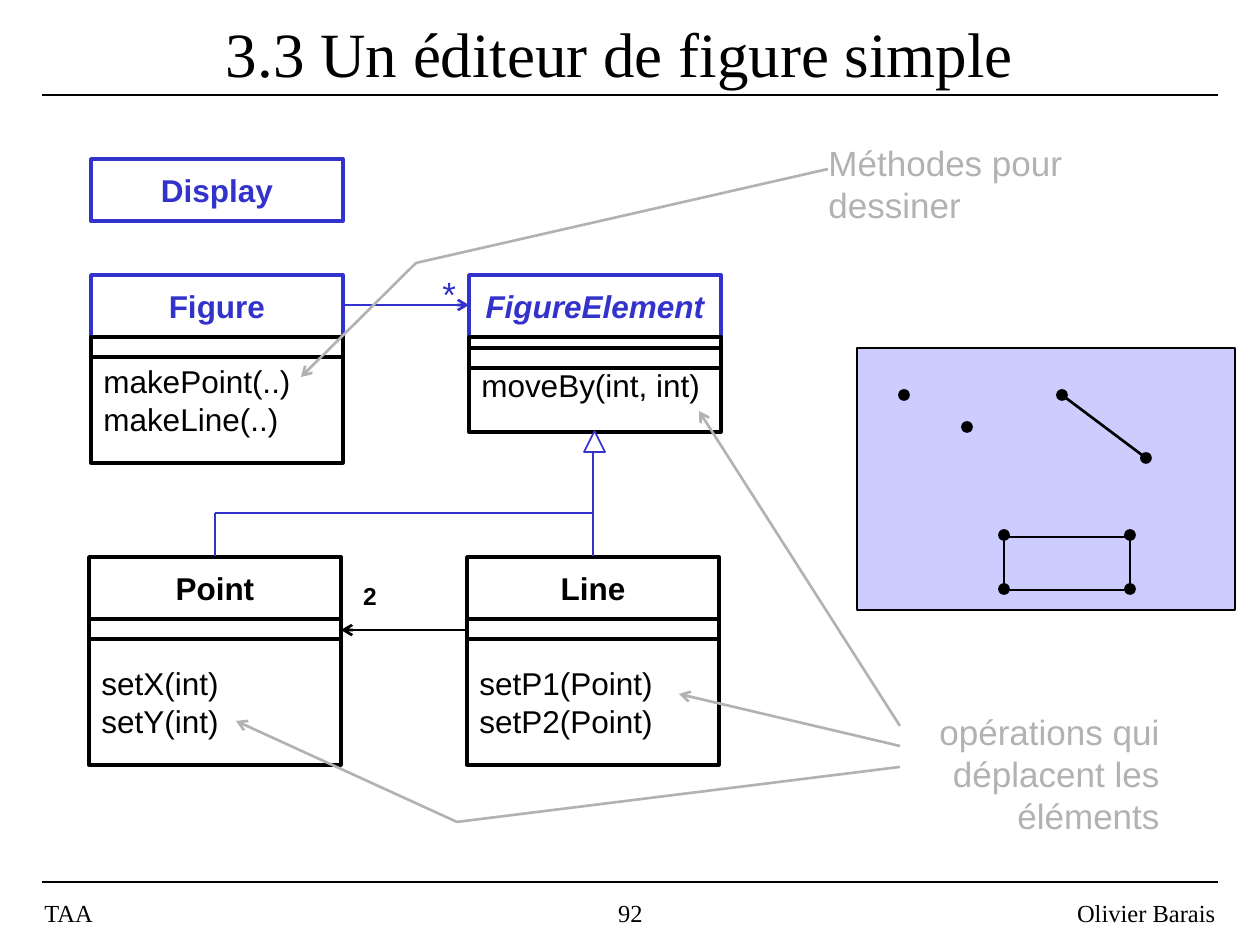
from lxml.etree import SubElement
from pptx import Presentation
from pptx.dml.color import RGBColor
from pptx.enum.shapes import MSO_CONNECTOR, MSO_SHAPE
from pptx.enum.text import MSO_ANCHOR, PP_ALIGN
from pptx.oxml.ns import qn
from pptx.util import Pt

PX = 914400 / 126
BLACK, BLUE, GRAY, LILAC, WHITE = "000000", "3333CC", "B2B2B2", "CCCCFF", "FFFFFF"
ALIGN = {"l": PP_ALIGN.LEFT, "c": PP_ALIGN.CENTER, "r": PP_ALIGN.RIGHT}
WIDE, HEAD, BAR, BODY = 252, 62, 20, 126


def px(*nums):
    return [round(n * PX) for n in nums]


def tint(color, code):
    color.rgb = RGBColor.from_string(code)


def ink(shape, code, width, arrow=False):
    """Style the outline and drop the shadow."""
    tint(shape.line.color, code)
    shape.line.width = Pt(width)
    if arrow:
        SubElement(shape.line._get_or_add_ln(), qn("a:tailEnd"), type="arrow")
    SubElement(shape._element.spPr, qn("a:effectLst"))


def write(shape, words, size=18, code=BLACK, font="Arial", align="l",
          bold=False, slant=False, wrap=False, mid=True):
    frame = shape.text_frame
    frame.word_wrap = wrap
    frame.vertical_anchor = MSO_ANCHOR.MIDDLE if mid else MSO_ANCHOR.TOP
    part = frame.paragraphs[0]
    part.text = words
    part.alignment = ALIGN[align]
    for run in part.runs:
        face = run.font
        face.name, face.size = font, Pt(size)
        face.bold, face.italic = bold, slant
        tint(face.color, code)


def label(host, box, words, **form):
    write(host.add_textbox(*px(*box)), words, **form)


def block(host, box, code=BLACK, width=2, fill=None, kind=MSO_SHAPE.RECTANGLE):
    shape = host.add_shape(kind, *px(*box))
    if fill:
        shape.fill.solid()
        tint(shape.fill.fore_color, fill)
    else:
        shape.fill.background()
    ink(shape, code, width)
    return shape


def line(host, ends, code=BLACK, width=1.5, arrow=False):
    link = host.add_connector(MSO_CONNECTOR.STRAIGHT, *px(*ends))
    ink(link, code, width, arrow)


def bend(host, start, *rest):
    """Draw a gray arrow through several points."""
    path = host.build_freeform(*start, scale=PX)
    path.add_line_segments(rest, close=False)
    shape = path.convert_to_shape()
    shape.fill.background()
    ink(shape, GRAY, 1.5, arrow=True)


def entity(host, x, y, name, ops=None, code=BLACK, slant=False,
           bar=HEAD, body=HEAD, high=BODY):
    """Draw a class; bar and body are offsets from its top."""
    head = block(host, (x, y, WIDE, HEAD), code)
    write(head, name, code=code, align="c", bold=True, slant=slant)
    if ops:
        write(block(host, (x, y + body, WIDE, high)), ops)
        block(host, (x, y + bar, WIDE, BAR))


def frame(host):
    """Draw the title, rules and footer."""
    for y in (95, 882):
        line(host, (42, y, 1218, y), width=1)
    font = "Times New Roman"
    label(host, (84, 21, 1071, 63), "3.3 Un éditeur de figure simple",
          size=36, font=font, align="c", wrap=True)
    for x, wide, words, align in ((32, 262, "TAA", "l"), (431, 399, "92", "c"),
                                  (966, 262, "Olivier Barais", "r")):
        label(host, (x, 892, wide, 42), words, size=14, font=font, align=align)


def model(host):
    """Draw the classes and their relations."""
    entity(host, 91, 159, "Display", code=BLUE)
    entity(host, 91, 275, "Figure", "makePoint(..)\vmakeLine(..)", BLUE)
    entity(host, 469, 275, "FigureElement", "moveBy(int, int)", BLUE,
           slant=True, bar=73, high=95)
    for x, name, ops in ((89, "Point", "setX(int)\vsetY(int)"),
                         (467, "Line", "setP1(Point)\vsetP2(Point)")):
        entity(host, x, 557, name, ops, body=HEAD + BAR)

    line(host, (343, 305, 469, 305), BLUE, arrow=True)
    label(host, (430, 266, 32, 54), "*", size=20, code=BLUE, align="c",
          wrap=True, mid=False)
    line(host, (467, 630, 341, 630), arrow=True)
    label(host, (349, 575, 42, 42), "2", size=14, bold=True, align="c",
          wrap=True, mid=False)
    for ends in ((215, 556, 215, 513), (215, 513, 593, 513), (593, 556, 593, 451)):
        line(host, ends, BLUE)
    block(host, (584, 431, 21, 21), BLUE, 1, WHITE, MSO_SHAPE.ISOSCELES_TRIANGLE)


def canvas(host, x, y):
    """Draw the sample figure with its points and lines."""
    block(host, (x, y, 378, 262), width=1, fill=LILAC)
    line(host, (x + 205, y + 47, x + 289, y + 110))
    block(host, (x + 147, y + 189, 126, 53), width=1.5)
    loose = [(47, 47), (110, 79), (205, 47), (289, 110)]
    corners = [(a, b) for a in (147, 273) for b in (187, 241)]
    for a, b in loose + corners:
        block(host, (x + a - 5, y + b - 5, 10, 10), width=1, fill=BLACK,
              kind=MSO_SHAPE.OVAL)


def notes(draw, move):
    """Draw the gray remarks and their arrows."""
    form = dict(size=20, code=GRAY, wrap=True, mid=False)
    line(move, (900, 726, 699, 411), GRAY, arrow=True)
    line(move, (900, 746, 679, 694), GRAY, arrow=True)
    bend(move, (900, 767), (457, 822), (236, 721))
    label(move, (888, 704, 284, 139), "opérations qui déplacent les éléments",
          align="r", **form)
    bend(draw, (828, 169), (416, 263), (301, 377))
    label(draw, (816, 135, 284, 97), "Méthodes pour dessiner", **form)


def main():
    deck = Presentation()
    deck.slide_width, deck.slide_height = px(1260, 945)
    host = deck.slides.add_slide(deck.slide_layouts[6]).shapes
    frame(host)
    model(host)
    canvas(host.add_group_shape().shapes, 857, 348)
    notes(host.add_group_shape().shapes, host.add_group_shape().shapes)
    deck.save("out.pptx")


if __name__ == "__main__":
    main()
